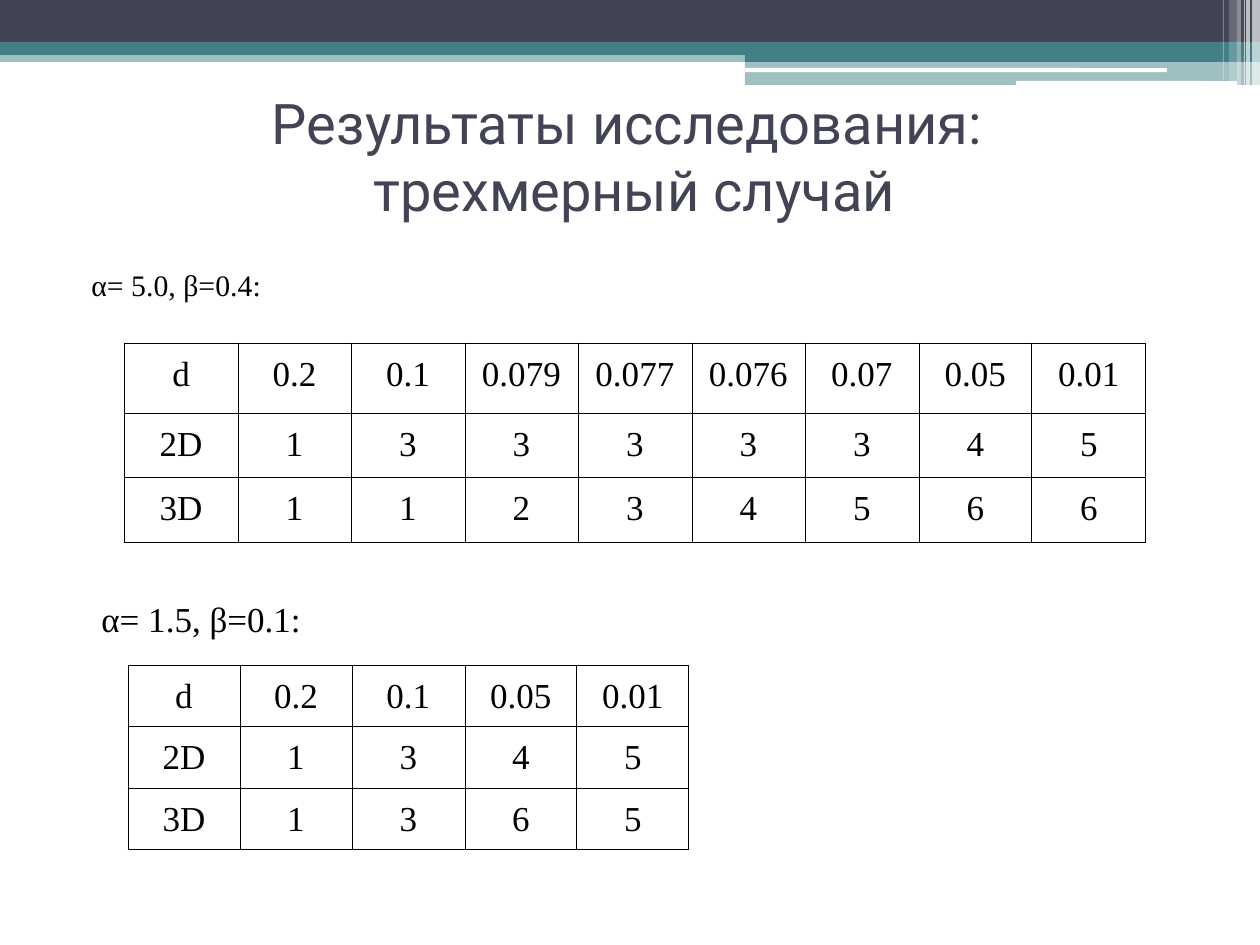
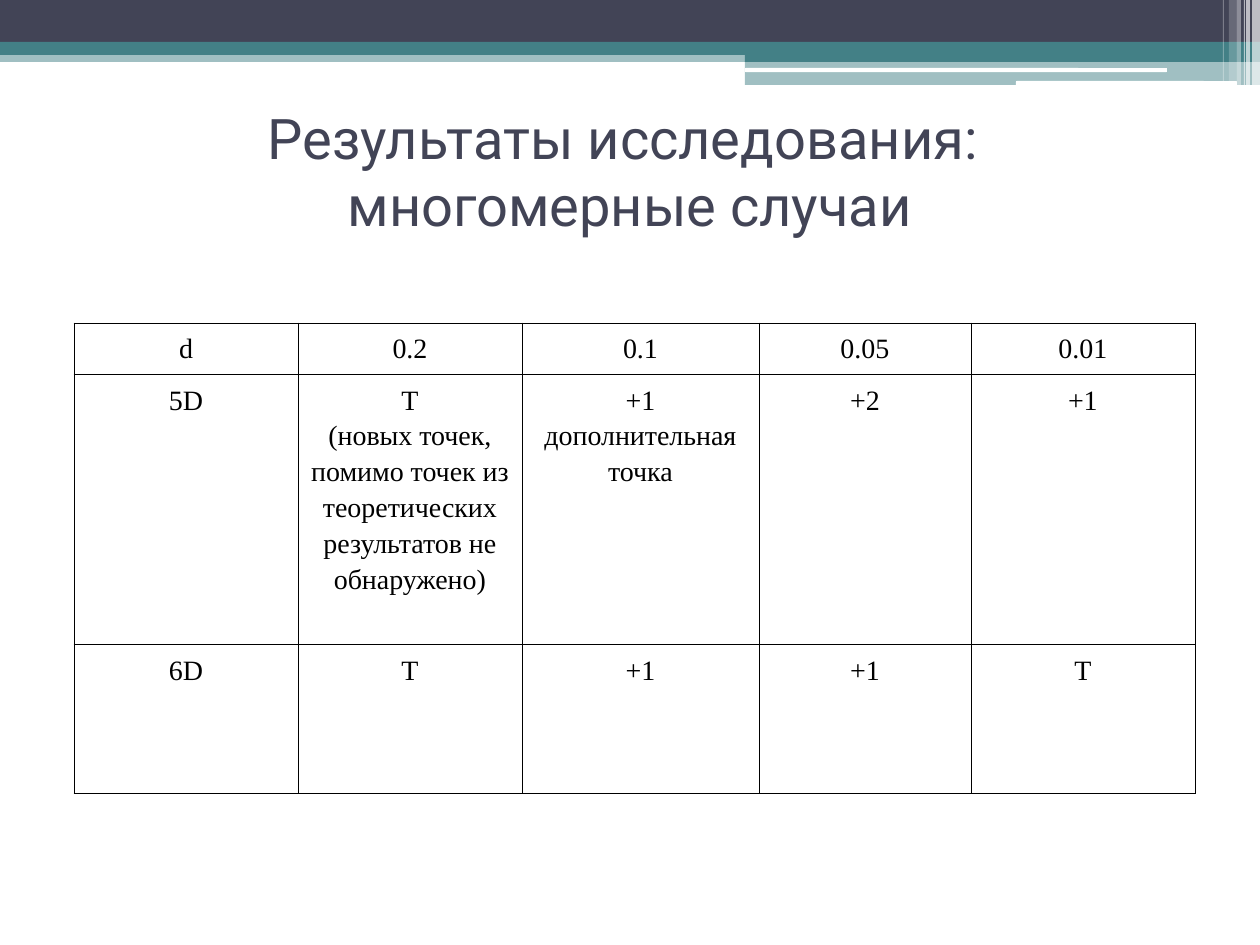
from itertools import accumulate

from lxml.etree import SubElement
from pptx import Presentation
from pptx.dml.color import RGBColor
from pptx.enum.shapes import MSO_SHAPE as Preset
from pptx.enum.text import MSO_ANCHOR as Anchor, PP_ALIGN as Align
from pptx.oxml import parse_xml
from pptx.oxml.ns import nsdecls, qn
from pptx.util import Pt

PX_PER_INCH = 126
NAVY, TEAL, WHITE, BLACK = "424456", "438086", "FFFFFF", "000000"
TITLE_FONT, BODY_FONT = "Roboto", "Times New Roman"
BORDER_WIDTH = Pt(0.45)

# left, top, width, height, colour, opacity in percent
BANDS = [
    (0, 50, 1260, 12, TEAL, 50),
    (0, 0, 1260, 42, NAVY, 100),
    (0, 42, 1260, 13, TEAL, 100),
    (745, 49, 515, 13, TEAL, 100),
    (745, 61, 515, 24, TEAL, 50),
]
WHITE_STROKES = [(745, 68, 422, 4), (1016, 81, 221, 5)]
# left, width, height, opacity in percent
EDGE_STRIPES = [
    (1252, 8, 86, 65), (1246, 4, 86, 65), (1244, 1, 86, 60),
    (1237, 4, 86, 40), (1229, 8, 81, 20), (1223, 1, 81, 30),
]


def px(length):
    return round(length * 914400 / PX_PER_INCH)


def rgb(colour):
    return RGBColor.from_string(colour)


def paint(shape, colour, opacity=100):
    shape.shadow.inherit = False
    shape.line.fill.background()
    shape.fill.solid()
    shape.fill.fore_color.rgb = rgb(colour)
    if opacity < 100:
        colour_node = shape.fill._xPr.find(qn("a:solidFill"))[0]
        SubElement(colour_node, qn("a:alpha"), val=str(opacity * 1000))


def style_text(frame, font_name, size, colour, align=None, spacing=None):
    for paragraph in frame.paragraphs:
        paragraph.alignment = align
        paragraph.line_spacing = spacing
        for run in paragraph.runs:
            run.font.name = font_name
            run.font.size = Pt(size)
            run.font.color.rgb = rgb(colour)


def add_text_frame(slide, box, text):
    frame = slide.shapes.add_textbox(*map(px, box)).text_frame
    frame.word_wrap = True
    frame.text = text
    return frame


def add_header(slide):
    """Draw the bands across the top and the pale stripes at the right edge."""
    def block(preset, box, colour, opacity=100):
        paint(slide.shapes.add_shape(preset, *map(px, box)), colour, opacity)

    for *box, colour, opacity in BANDS:
        block(Preset.RECTANGLE, box, colour, opacity)
    for box in WHITE_STROKES:
        block(Preset.ROUNDED_RECTANGLE, box, WHITE)
    for left, width, height, opacity in EDGE_STRIPES:
        block(Preset.RECTANGLE, (left, 0, width, height), WHITE, opacity)


def add_title(slide, box, text):
    frame = add_text_frame(slide, box, text)
    frame.vertical_anchor = Anchor.MIDDLE
    style_text(frame, TITLE_FONT, 32, NAVY, Align.CENTER)


def add_parameters(slide, box, text, size, spacing=None):
    frame = add_text_frame(slide, box, text)
    style_text(frame, BODY_FONT, size, BLACK, spacing=spacing)
    paragraph = frame.paragraphs[0]
    paragraph.space_before = Pt(3)
    properties = paragraph._p.get_or_add_pPr()
    properties.set("marL", str(px(50)))
    properties.set("indent", str(px(-35)))


def add_borders(cell):
    properties = cell._tc.get_or_add_tcPr()
    for position, side in enumerate(("lnL", "lnR", "lnT", "lnB")):
        properties.insert(position, parse_xml(
            f'<a:{side} {nsdecls("a")} w="{BORDER_WIDTH}"><a:solidFill>'
            f'<a:srgbClr val="{BLACK}"/></a:solidFill></a:{side}>'))


def even_widths(total, count):
    """Split a width into whole pixels that add up to it exactly."""
    edges = [round(total * step / count) for step in range(count + 1)]
    return [right - left for left, right in zip(edges, edges[1:])]


def add_results(slide, box, rows, row_heights, size, side_margin, widths=None):
    widths = widths or even_widths(box[2], len(rows[0]))
    table = slide.shapes.add_table(
        len(rows), len(widths), *map(px, box)).table
    table.first_row = table.horz_banding = False
    for column, width in zip(table.columns, widths):
        column.width = px(width)
    for row, height, values in zip(table.rows, row_heights, rows):
        row.height = px(height)
        for cell, value in zip(row.cells, values):
            cell.margin_left = cell.margin_right = px(side_margin)
            cell.fill.solid()
            cell.fill.fore_color.rgb = rgb(WHITE)
            add_borders(cell)
            cell.text_frame.text = value
            style_text(cell.text_frame, BODY_FONT, size, BLACK,
                       Align.CENTER, 1.15)


def build_three_dimensional(slide):
    add_header(slide)
    add_title(slide, (34, 86, 1201, 139),
              "Результаты исследования: \vтрехмерный случай")
    add_parameters(slide, (64, 265, 258, 49), "α= 5.0, β=0.4:", 17, 0.9)
    add_results(slide, (124, 343, 1022, 199), [
        ["d", "0.2", "0.1", "0.079", "0.077", "0.076", "0.07", "0.05", "0.01"],
        ["2D", *"13333345"],
        ["3D", *"11234566"],
    ], (70, 64, 65), 20, 10)
    add_parameters(slide, (74, 591, 258, 49), "α= 1.5, β=0.1:", 20)
    add_results(slide, (128, 665, 561, 184), [
        ["d", "0.2", "0.1", "0.05", "0.01"],
        ["2D", *"1345"],
        ["3D", *"1365"],
    ], (61, 62, 61), 20, 10)


def build_multidimensional(slide):
    add_header(slide)
    add_title(slide, (63, 97, 1134, 147),
              "Результаты исследования: \vмногомерные случаи")
    no_new_points = ("Т\n(новых точек, помимо точек из теоретических "
                     "результатов не обнаружено)")
    add_results(slide, (74, 323, 1121, 468), [
        ["d", "0.2", "0.1", "0.05", "0.01"],
        ["5D", no_new_points, "+1\nдополнительная точка", "+2", "+1"],
        ["6D", "Т", "+1", "+1", "Т"],
    ], (49, 270, 149), 16, 5, widths=(224, 224, 237, 212, 224))


def main():
    deck = Presentation()
    deck.slide_width, deck.slide_height = px(1260), px(945)
    blank = deck.slide_layouts[6]
    for build in (build_three_dimensional, build_multidimensional):
        build(deck.slides.add_slide(blank))
    deck.save("out.pptx")


if __name__ == "__main__":
    main()
